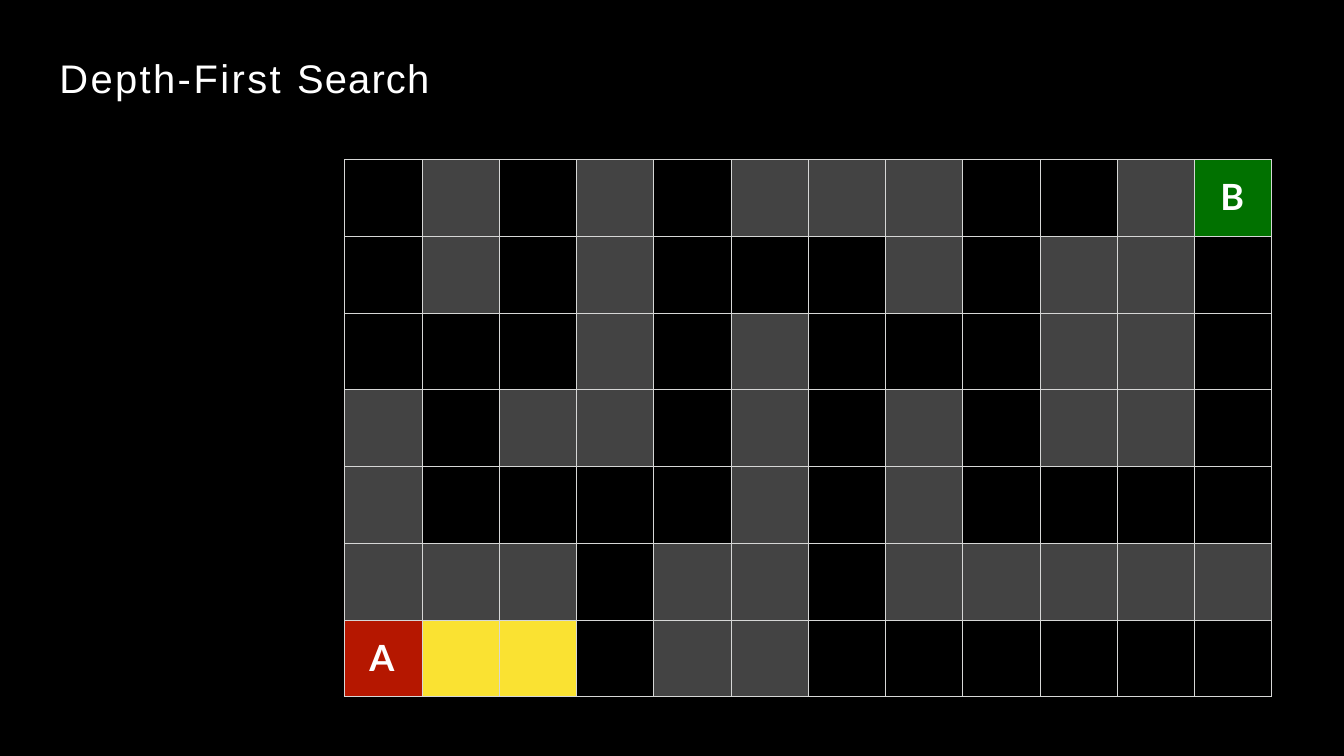
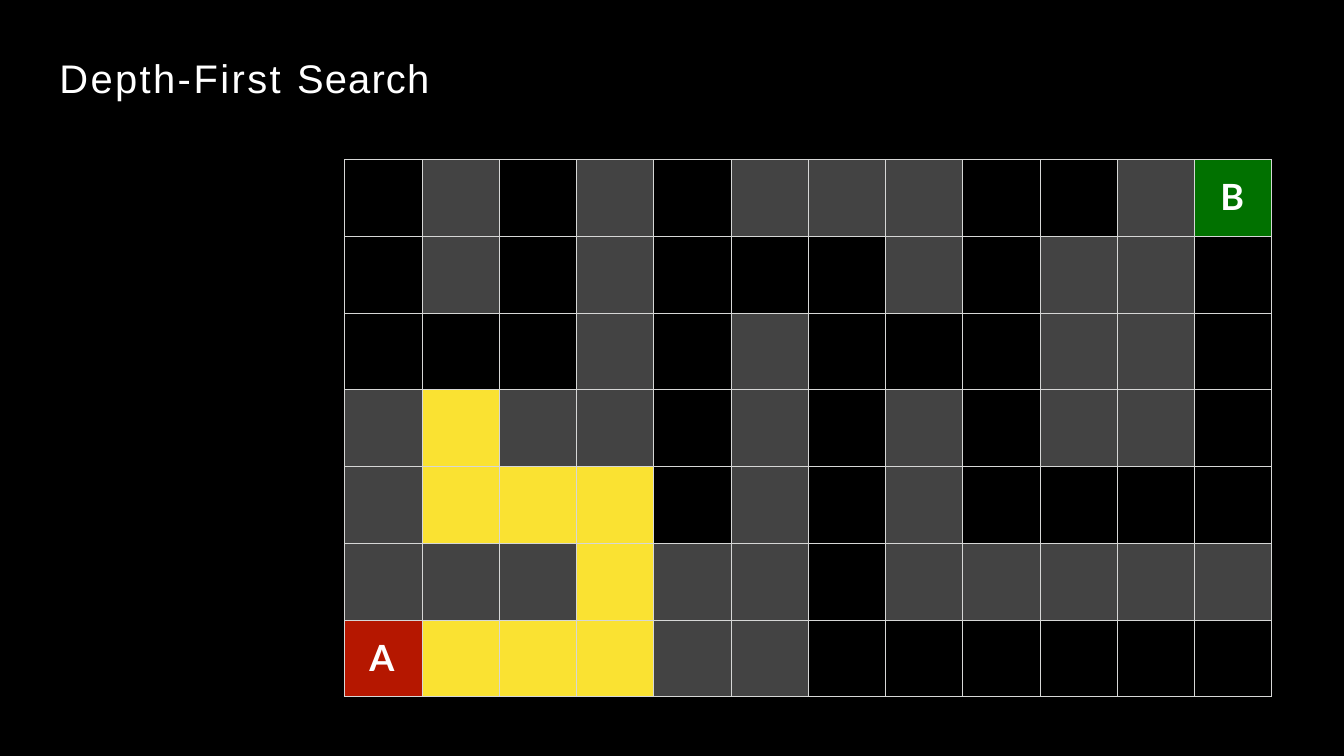
from lxml.etree import SubElement
from pptx import Presentation
from pptx.dml.color import RGBColor
from pptx.enum.text import MSO_ANCHOR, MSO_AUTO_SIZE, PP_ALIGN
from pptx.oxml.ns import qn
from pptx.util import Cm, Pt

BLACK = RGBColor(0x00, 0x00, 0x00)
WHITE = RGBColor(0xFF, 0xFF, 0xFF)
GRAY = RGBColor(0x43, 0x43, 0x43)
RED = RGBColor(0xB5, 0x17, 0x00)
GREEN = RGBColor(0x01, 0x71, 0x00)
YELLOW = RGBColor(0xFA, 0xE2, 0x32)
RULE = RGBColor(0xD6, 0xD7, 0xD6)

WIDE, HIGH = 55.85, 31.42
TITLE_BOX = (1.73, 1.09, 32.84, 4.52)
MAZE_BOX = (14.33, 6.63, 38.52, 22.33)

TITLE = (("Depth-", 2.8), ("First ", 2.9), ("Search", 1.4))
MAZE = (
    ".#.#.###..#B",
    ".#.#...#.##.",
    "...#.#...##.",
    "#.##.#.#.##.",
    "#....#.#....",
    "###.##.#####",
    "A...##......",
)
FILLS = {"#": GRAY, "A": RED, "B": GREEN, "*": YELLOW}
LABELS = {"A": (1.02, 4.2), "B": (1.07, 1.2)}
TRAIL = ((6, 1), (6, 2), (6, 3), (5, 3), (4, 3), (4, 2), (4, 1), (3, 1))
STEPS = (2, len(TRAIL))


def write(para, text, *, size, font, bold=False, gap=0, color=WHITE):
    """Add a run with its font, colour and letter gap in points."""
    run = para.add_run()
    run.text = text
    run.font.name = font
    run.font.size = Pt(size)
    run.font.bold = bold
    run.font.color.rgb = color
    run._r.get_or_add_rPr().set("spc", str(round(gap * 100)))


def add_rules(cell):
    """Draw a thin rule on all four sides of a cell."""
    props = cell._tc.get_or_add_tcPr()
    for side in ("lnL", "lnR", "lnT", "lnB"):
        line = SubElement(props, qn(f"a:{side}"), w=str(Pt(1)))
        fill = SubElement(line, qn("a:solidFill"))
        SubElement(fill, qn("a:srgbClr"), val=str(RULE))


def add_title(slide, box):
    """Place and format the slide title in its box."""
    title = slide.shapes.title
    title.left, title.top, title.width, title.height = map(Cm, box)
    frame = title.text_frame
    frame.word_wrap = True
    frame.auto_size = MSO_AUTO_SIZE.NONE
    frame.vertical_anchor = MSO_ANCHOR.TOP
    frame.margin_left, frame.margin_top = Cm(0.74), Cm(1.12)
    frame.margin_right = frame.margin_bottom = 0
    para = frame.paragraphs[0]
    para.alignment = PP_ALIGN.LEFT
    for text, gap in TITLE:
        write(para, text, size=47, font="Arial", gap=gap)


def fill_cell(cell, mark):
    """Give a maze cell its rules, fill and label."""
    add_rules(cell)
    if mark in FILLS:
        cell.fill.solid()
        cell.fill.fore_color.rgb = FILLS[mark]
    else:
        cell.fill.background()
    if mark in LABELS:
        left, gap = LABELS[mark]
        cell.margin_left, cell.margin_top = Cm(left), Cm(0.66)
        cell.margin_right = cell.margin_bottom = 0
        write(cell.text_frame.paragraphs[0], mark,
              size=42.5, font="Lato", bold=True, gap=gap)


def add_maze(slide, box, trail):
    """Draw the maze as a table in its box, with the trail so far."""
    rows, cols = len(MAZE), len(MAZE[0])
    left, top, width, height = map(Cm, box)
    table = slide.shapes.add_table(rows, cols, left, top, width, height).table
    table.first_row = table.horz_banding = False
    for row, marks in enumerate(MAZE):
        for col, mark in enumerate(marks):
            fill_cell(table.cell(row, col), "*" if (row, col) in trail else mark)


def main():
    """Build one slide for each step of the search."""
    deck = Presentation()
    deck.slide_width, deck.slide_height = Cm(WIDE), Cm(HIGH)
    ground = deck.slide_master.background.fill
    ground.solid()
    ground.fore_color.rgb = BLACK
    for step in STEPS:
        slide = deck.slides.add_slide(deck.slide_layouts[5])
        add_title(slide, TITLE_BOX)
        add_maze(slide, MAZE_BOX, TRAIL[:step])
    deck.save("out.pptx")


if __name__ == "__main__":
    main()
